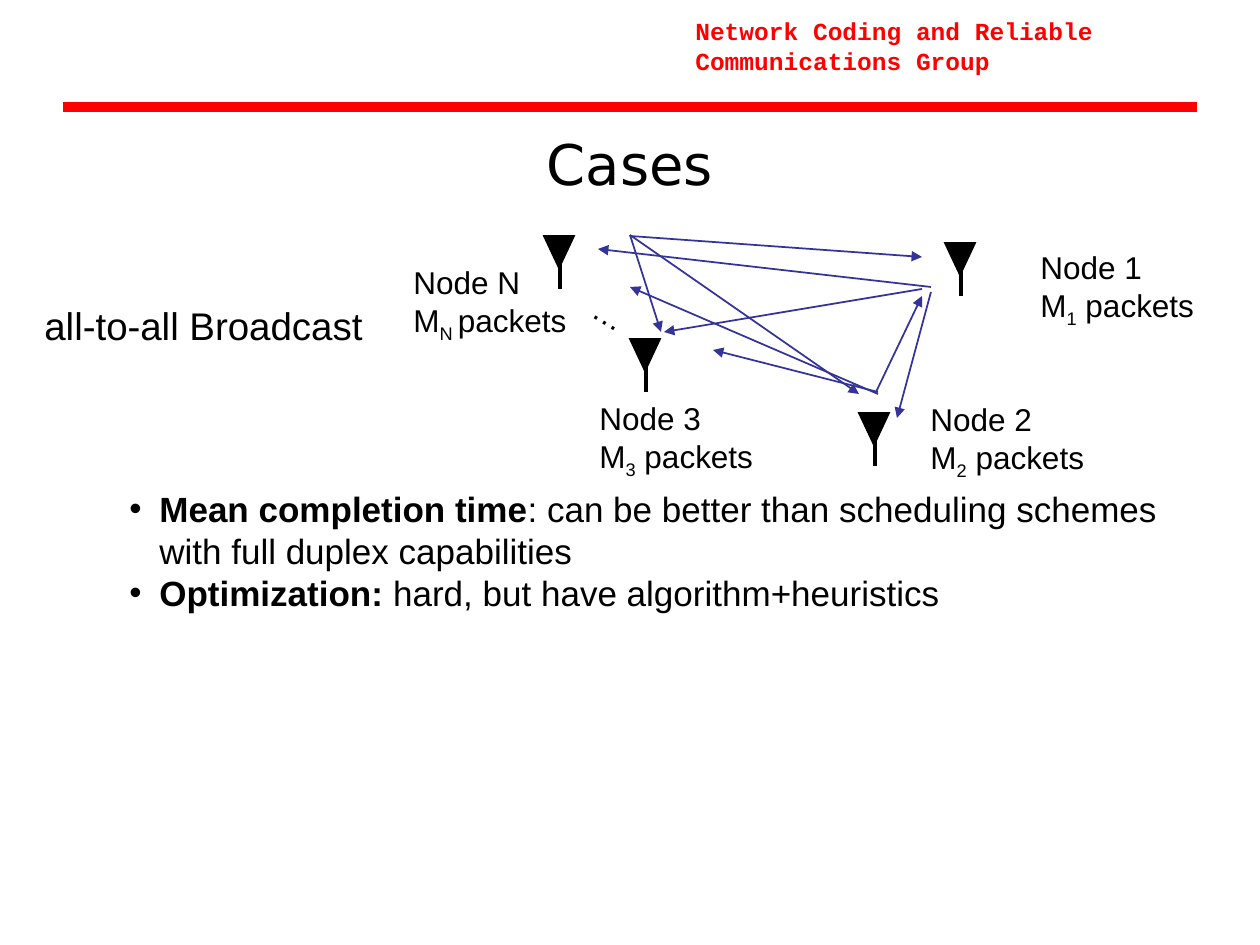
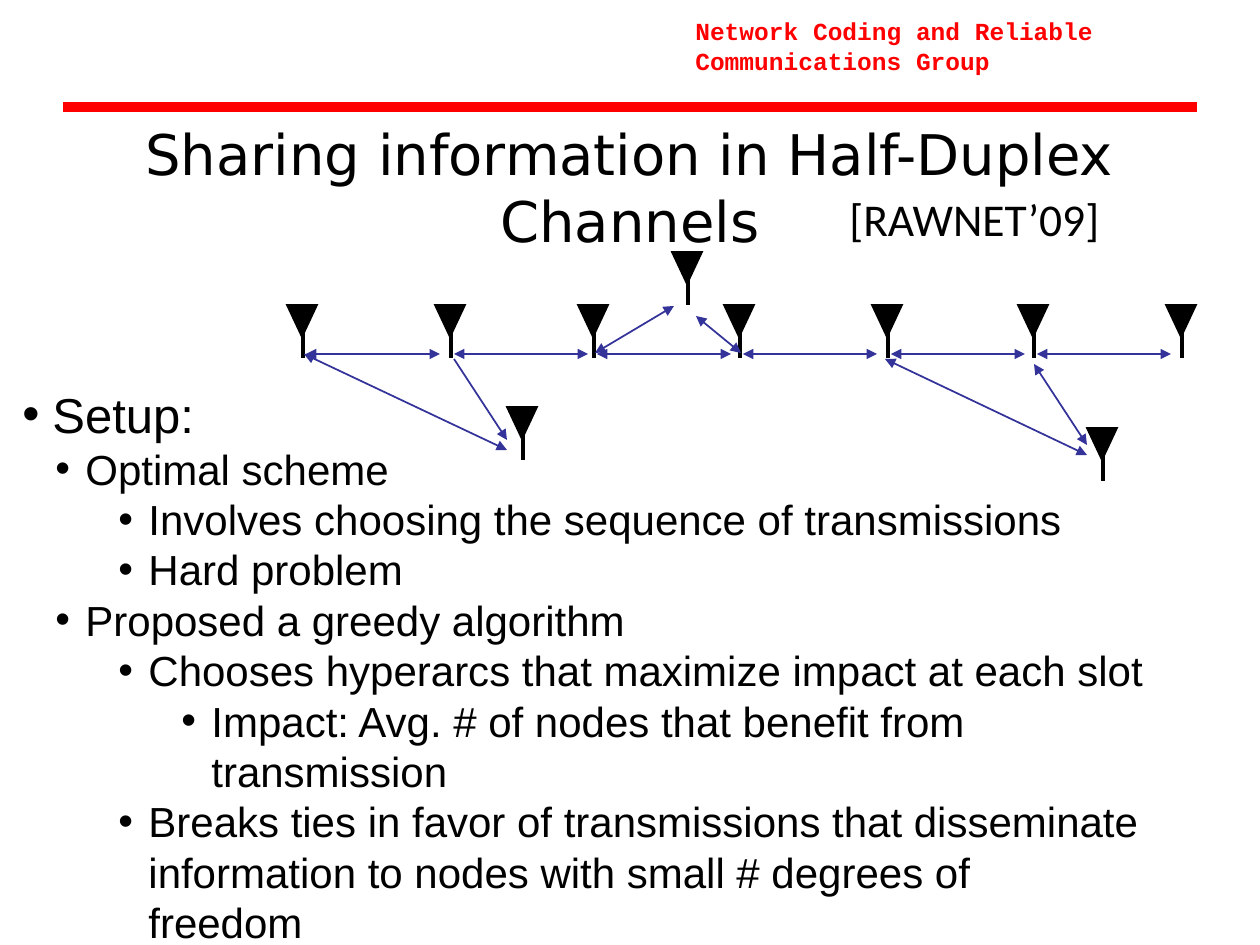
from dataclasses import dataclass

from lxml import etree
from pptx import Presentation
from pptx.dml.color import RGBColor
from pptx.enum.shapes import MSO_CONNECTOR, MSO_SHAPE
from pptx.enum.text import MSO_ANCHOR, PP_ALIGN
from pptx.oxml.ns import qn
from pptx.util import Pt

PX = 914400 / 126
STRAIGHT = MSO_CONNECTOR.STRAIGHT
TRIANGLE = MSO_SHAPE.ISOSCELES_TRIANGLE
LEFT, CENTER = PP_ALIGN.LEFT, PP_ALIGN.CENTER
TOP, MIDDLE = MSO_ANCHOR.TOP, MSO_ANCHOR.MIDDLE


@dataclass(frozen=True)
class Theme:
    red: RGBColor = RGBColor(0xFF, 0x00, 0x00)
    black: RGBColor = RGBColor(0x00, 0x00, 0x00)
    link: RGBColor = RGBColor(0x33, 0x33, 0x99)
    header_font: str = "Courier New"
    title_font: str = "DejaVu Sans"
    body_font: str = "Arial"
    cite_font: str = "Calibri"
    header: int = 14
    label: int = 18
    note: int = 20
    caption: int = 22
    body: int = 24
    cite: int = 26
    lead: int = 28
    title: int = 32
    level_step: int = 63
    hang: int = 30


T = Theme()


def add_text(shapes, box, paragraphs, size, font=T.body_font, color=T.black,
             wrap=True, align=LEFT, anchor=TOP):
    """Add a text box; each paragraph is (level, bullet, runs), each run (text, style)."""
    sp = shapes.add_textbox(*(round(v * PX) for v in box))
    tf = sp.text_frame
    tf.word_wrap = wrap
    tf.vertical_anchor = anchor
    for i, (level, bullet, runs) in enumerate(paragraphs):
        p = tf.paragraphs[0] if i == 0 else tf.add_paragraph()
        p.alignment = align
        pPr = p._p.get_or_add_pPr()
        indent = T.level_step * level
        if bullet:
            indent = indent or T.hang
            pPr.set("indent", str(round(-T.hang * PX)))
            clr = etree.SubElement(pPr, qn("a:buClr"))
            etree.SubElement(clr, qn("a:srgbClr"), val=str(T.black))
            etree.SubElement(pPr, qn("a:buFont"), typeface=T.body_font)
            etree.SubElement(pPr, qn("a:buChar"), char="•")
        pPr.set("marL", str(round(indent * PX)))
        for text, style in runs:
            r = p.add_run()
            r.text = text
            r.font.name = font
            r.font.size = Pt(size[level] if isinstance(size, tuple) else size)
            r.font.color.rgb = color
            r.font.bold = style == "bold"
            if style == "sub":
                r._r.get_or_add_rPr().set("baseline", "-25000")
    return sp


def add_line(shapes, points, color, width, ends=()):
    """Add a straight line; ends names the arrowheads, headEnd before tailEnd."""
    cx = shapes.add_connector(STRAIGHT, *(round(v * PX) for v in points))
    cx.line.color.rgb = color
    cx.line.width = Pt(width)
    for end in ends:
        etree.SubElement(cx.line._get_or_add_ln(), qn("a:" + end), type="triangle")
    etree.SubElement(cx._element.spPr, qn("a:effectLst"))


row = [287, 435, 578, 724, 872, 1018, 1166]
slides = [
    {
        "title": ("Cases", (63, 84, 1134, 158)),
        "antennas": [(859, 413), (544, 236), (630, 339), (945, 243)],
        "one_way": [
            (931, 287, 598, 249), (922, 289, 664, 332), (931, 292, 897, 418),
            (876, 392, 922, 296), (878, 392, 713, 350), (878, 394, 630, 287),
            (630, 236, 922, 257), (630, 235, 661, 332), (630, 235, 859, 394),
        ],
        "two_way": [],
        "body_box": (84, 481, 1134, 139),
        "body_size": T.note,
        "body": [
            (1, True, [("Mean completion time", "bold"),
                       (": can be better than scheduling schemes "
                        "with full duplex capabilities", "")]),
            (1, True, [("Optimization: ", "bold"),
                       ("hard, but have algorithm+heuristics", "")]),
        ],
    },
    {
        "title": ("Sharing information in Half-Duplex Channels", (63, 143, 1134, 88)),
        "antennas": [(x, 305) for x in row] + [(672, 252), (507, 407), (1087, 428)],
        "one_way": [(454, 359, 507, 440)],
        "two_way": [(x + 19, 354, x + 153, 354) for x in row[:-1]] + [
            (507, 450, 304, 354), (1087, 455, 885, 359), (1087, 445, 1034, 364),
            (674, 306, 595, 353), (696, 316, 741, 353),
        ],
        "body_box": (10, 378, 1166, 626),
        "body_size": (T.lead, T.body, T.body, T.body),
        "body": [(level, bullet, [(text, "")]) for level, bullet, text in [
            (0, True, "Setup:"),
            (1, True, "Optimal scheme"),
            (2, True, "Involves choosing the sequence of transmissions"),
            (2, True, "Hard problem"),
            (1, True, "Proposed a greedy algorithm"),
            (2, True, "Chooses hyperarcs that maximize impact at each slot"),
            (3, True, "Impact: Avg. # of nodes that benefit from transmission"),
            (2, True, "Breaks ties in favor of transmissions that disseminate "
                      "information to nodes with small # degrees of"),
            (2, False, "freedom"),
        ]],
    },
]

prs = Presentation()
prs.slide_width = round(1260 * PX)
prs.slide_height = round(945 * PX)

for content in slides:
    shapes = prs.slides.add_slide(prs.slide_layouts[6]).shapes

    header = "Network Coding and Reliable Communications Group"
    add_text(shapes, (683, 10, 514, 72), [(0, False, [(header, "bold")])],
             T.header, T.header_font, T.red)
    add_line(shapes, (63, 107, 1197, 107), T.red, 6)
    title, box = content["title"]
    add_text(shapes, box, [(0, False, [(title, "")])], T.title, T.title_font,
             align=CENTER, anchor=MIDDLE)
    add_text(shapes, content["body_box"], content["body"], content["body_size"])

    for x, y in content["antennas"]:
        antenna = shapes.add_group_shape().shapes
        add_line(antenna, (x + 16, y + 11, x + 16, y + 53), T.black, 2)
        sp = antenna.add_shape(TRIANGLE, *(round(v * PX) for v in (x, y, 30, 32)))
        sp.rotation = 180
        sp.shadow.inherit = False
        sp.fill.solid()
        sp.fill.fore_color.rgb = T.black
        sp.line.color.rgb = T.black
        sp.line.width = Pt(1)
        etree.SubElement(sp.line._get_or_add_ln(), qn("a:miter"), lim="800000")

    for points in content["one_way"]:
        add_line(shapes, points, T.link, 1, ["tailEnd"])
    for points in content["two_way"]:
        add_line(shapes, points, T.link, 1, ["headEnd", "tailEnd"])

cases, sharing = (slide.shapes for slide in prs.slides)

for x, y, node, gap_style in [(918, 394, "2", ""), (587, 393, "3", ""),
                              (401, 257, "N", "sub"), (1028, 242, "1", "")]:
    count = [("M", ""), (node, "sub"), (" ", gap_style), ("packets", "")]
    add_text(cases, (x, y, 179, 93),
             [(0, False, [("Node " + node, "")]), (0, False, count)],
             T.label, wrap=False)
dots = add_text(cases, (582, 289, 57, 50), [(0, False, [("…", "")])], T.label, wrap=False)
dots.rotation = 31.4
add_text(cases, (32, 296, 360, 59), [(0, False, [("all-to-all Broadcast", "")])],
         T.caption, wrap=False)

add_text(sharing, (837, 185, 276, 68), [(0, False, [("[RAWNET’09]", "")])],
         T.cite, T.cite_font, wrap=False)

prs.save("out.pptx")
